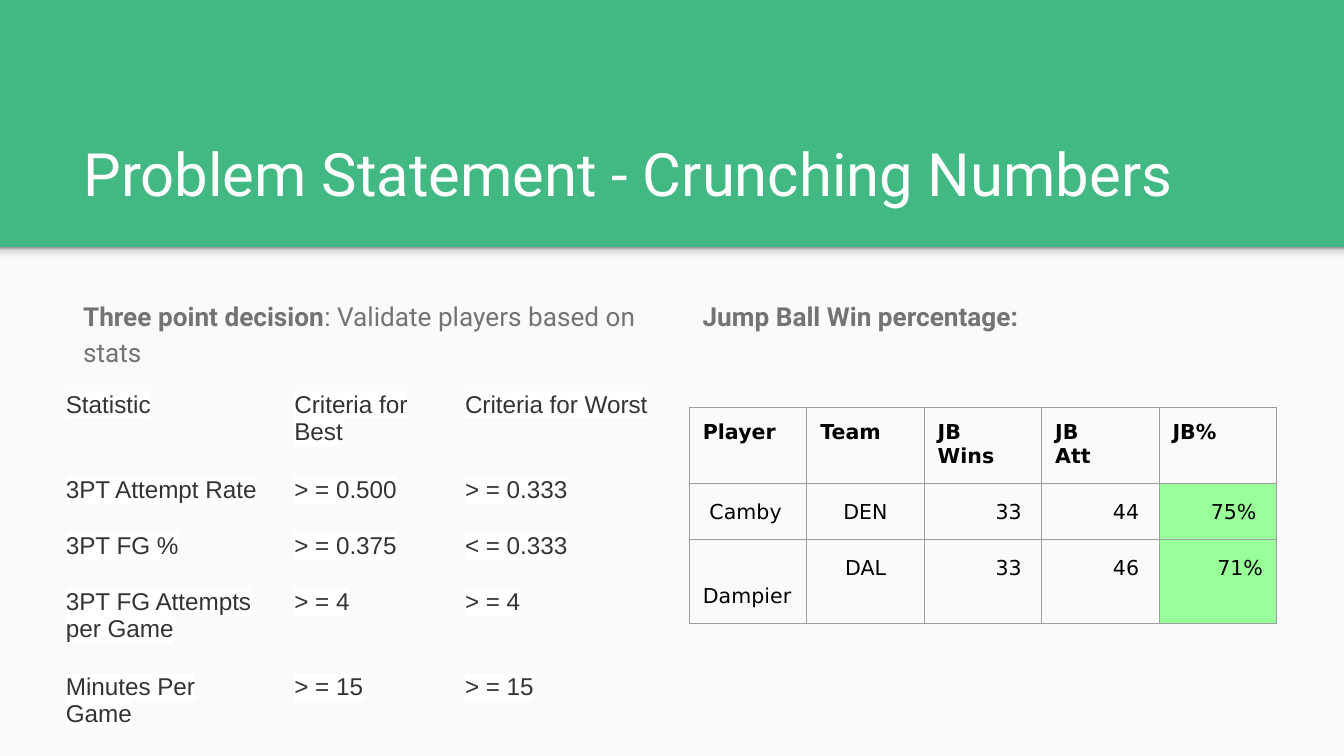
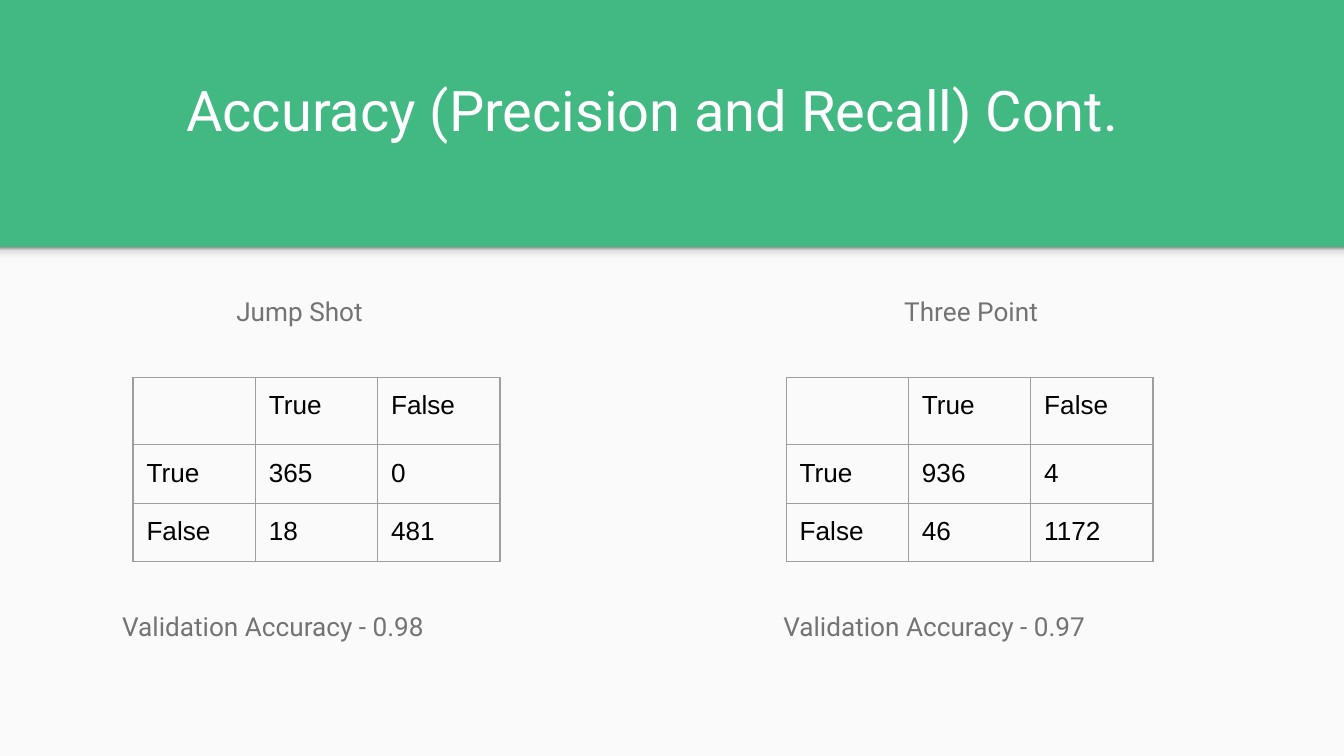
import copy

import pptx
import pptx.dml.color
import pptx.enum.shapes
import pptx.enum.text
import pptx.oxml
import pptx.oxml.ns
import pptx.util
from lxml import etree

Inches = pptx.util.Inches
Pt = pptx.util.Pt
RGBColor = pptx.dml.color.RGBColor
ALIGN = pptx.enum.text.PP_ALIGN
ANCHOR = pptx.enum.text.MSO_ANCHOR
RECTANGLE = pptx.enum.shapes.MSO_SHAPE.RECTANGLE
qn = pptx.oxml.ns.qn

GREEN = RGBColor(0x42, 0xB9, 0x83)
PANEL = RGBColor(0xFA, 0xFA, 0xFA)
WHITE = RGBColor(0xFF, 0xFF, 0xFF)
BLACK = RGBColor(0x00, 0x00, 0x00)
GREY = RGBColor(0x73, 0x73, 0x73)
DARK = RGBColor(0x33, 0x33, 0x33)
BORDER = RGBColor(0x9E, 0x9E, 0x9E)
WIN_GREEN = RGBColor(0x99, 0xFF, 0x99)
SHADOW_STOPS = [
    (0, RGBColor(0xF9, 0xF9, 0xF9)),
    (0.36, RGBColor(0xF9, 0xF9, 0xF9)),
    (0.8, RGBColor(0xDE, 0xDE, 0xDE)),
    (1, RGBColor(0x99, 0x99, 0x99)),
]

SLIDE_WIDTH = 10
SLIDE_HEIGHT = SLIDE_WIDTH * 9 / 16
PANEL_TOP = 1.84
BODY_TOP, BODY_WIDTH, BODY_HEIGHT = 2.1, 4.37, 2.96
LEFT_COLUMN, RIGHT_COLUMN = 0.52, 5.13
INSET = Inches(0.1)


def add_run(paragraph, text, size, color, font="Roboto", bold=False, highlight=None):
    run = paragraph.add_run()
    run.text = text
    run.font.size = Pt(size)
    run.font.bold = bold
    run.font.color.rgb = color
    if highlight is not None:
        mark = etree.Element(qn("a:highlight"))
        etree.SubElement(mark, qn("a:srgbClr")).set("val", str(highlight))
        run.font._element.find(qn("a:solidFill")).addnext(mark)
    run.font.name = font


def set_insets(frame):
    frame.margin_left = frame.margin_right = INSET
    frame.margin_top = frame.margin_bottom = INSET


def add_rectangle(slide, top, height):
    rectangle = slide.shapes.add_shape(
        RECTANGLE, 0, Inches(top), Inches(SLIDE_WIDTH), Inches(height))
    rectangle.shadow.inherit = False
    rectangle.line.fill.background()
    return rectangle


def add_panel(slide):
    """Draw the light content area and the soft shadow under the green band."""
    panel = add_rectangle(slide, PANEL_TOP, SLIDE_HEIGHT - PANEL_TOP)
    panel.fill.solid()
    panel.fill.fore_color.rgb = PANEL

    fill = add_rectangle(slide, PANEL_TOP, 0.12).fill
    fill.gradient()
    fill.gradient_angle = 90
    stops = fill.gradient_stops
    first_stop = stops[0]._gs
    for _ in range(len(SHADOW_STOPS) - len(stops)):
        first_stop.addnext(copy.deepcopy(first_stop))
    for stop, (position, color) in zip(fill.gradient_stops, SHADOW_STOPS):
        stop.position = position
        stop.color.rgb = color


def add_titled_slide(deck, text, left, top, size, align):
    slide = deck.slides.add_slide(deck.slide_layouts[5])
    add_panel(slide)
    title = slide.shapes.title
    title.left, title.top = Inches(left), Inches(top)
    title.width, title.height = Inches(8.99), Inches(0.84)
    frame = title.text_frame
    frame.auto_size = pptx.enum.text.MSO_AUTO_SIZE.NONE
    frame.vertical_anchor = ANCHOR.BOTTOM
    set_insets(frame)
    frame.paragraphs[0].alignment = align
    add_run(frame.paragraphs[0], text, size, WHITE)
    return slide


def add_body(slide, left):
    """Add an empty body column and return its text frame."""
    box = slide.shapes.add_textbox(
        Inches(left), Inches(BODY_TOP), Inches(BODY_WIDTH), Inches(BODY_HEIGHT))
    frame = box.text_frame
    frame.word_wrap = True
    set_insets(frame)
    return frame


def add_heading(slide, left, bold_text, plain_text=""):
    paragraph = add_body(slide, left).paragraphs[0]
    paragraph.line_spacing = 1.15
    add_run(paragraph, bold_text, 14, GREY, bold=True)
    if plain_text:
        add_run(paragraph, plain_text, 14, GREY)


def set_borders(cell, color):
    properties = cell._tc.get_or_add_tcPr()
    for side in ("lnL", "lnR", "lnT", "lnB"):
        line = etree.SubElement(properties, qn(f"a:{side}"), w=str(Pt(0.75)))
        if color is None:
            etree.SubElement(line, qn("a:noFill"))
        else:
            solid = etree.SubElement(line, qn("a:solidFill"))
            etree.SubElement(solid, qn("a:srgbClr")).set("val", str(color))


def add_grid(slide, left, top, widths, heights, rows, border=BORDER,
             bold_header=False, **text_style):
    table = slide.shapes.add_table(
        len(rows), len(widths), Inches(left), Inches(top),
        Inches(sum(widths)), Inches(sum(heights))).table
    table.first_row = table.horz_banding = False
    for column, width in zip(table.columns, widths):
        column.width = Inches(width)
    for row_index, (values, height) in enumerate(zip(rows, heights)):
        table.rows[row_index].height = Inches(height)
        for column_index, value in enumerate(values):
            cell = table.cell(row_index, column_index)
            set_insets(cell)
            set_borders(cell, border)
            cell.fill.background()
            if not value:
                continue
            for line_index, line in enumerate(value.split("\n")):
                frame = cell.text_frame
                paragraph = frame.add_paragraph() if line_index else frame.paragraphs[0]
                add_run(paragraph, line, bold=bold_header and row_index == 0, **text_style)
    return table


def add_criteria_table(slide):
    rows = [
        ("Statistic", "Criteria for Best", "Criteria for Worst"),
        ("3PT Attempt Rate", "> = 0.500", "> = 0.333"),
        ("3PT FG %", "> = 0.375", "< = 0.333"),
        ("3PT FG Attempts per Game", "> = 4", "> = 4"),
        ("Minutes Per Game", "> = 15", "> = 15"),
    ]
    add_grid(slide, 0.39, 2.81, (1.7, 1.27, 1.65), (0.55, 0.36, 0.36, 0.55, 0.36), rows,
             border=None, size=13, color=DARK, font="Arial", highlight=WHITE)


def add_jump_ball_table(slide):
    rows = [
        ("Player", "Team", "JB\nWins", "JB\nAtt", "JB%"),
        (" Camby", "DEN", "33 ", "44 ", "75% "),
        (" Dampier", "DAL", "33 ", "46 ", "71%"),
    ]
    alignments = [ALIGN.LEFT, ALIGN.CENTER, ALIGN.RIGHT, ALIGN.RIGHT, ALIGN.RIGHT]
    table = add_grid(slide, RIGHT_COLUMN, 3.03, [BODY_WIDTH / 5] * 5, [0.42] * 3, rows,
                     bold_header=True, size=11, color=BLACK, font="DejaVu Sans")
    for row in range(1, len(rows)):
        for column, alignment in enumerate(alignments):
            paragraph = table.cell(row, column).text_frame.paragraphs[0]
            paragraph.line_spacing = 1.15
            paragraph.alignment = alignment
        win_rate = table.cell(row, 4)
        win_rate.fill.solid()
        win_rate.fill.fore_color.rgb = WIN_GREEN


def add_confusion_caption(slide, left, name, name_indent, accuracy, accuracy_indent):
    """Put the model name above its matrix and the accuracy below it."""
    frame = add_body(slide, left)
    name_line, accuracy_line = frame.paragraphs[0], frame.add_paragraph()
    accuracy_line.space_before = Pt(152)
    for paragraph, text, indent in (
            (name_line, name, name_indent),
            (accuracy_line, f"Validation Accuracy - {accuracy}", accuracy_indent)):
        paragraph._p.get_or_add_pPr().set("marL", str(Inches(indent)))
        add_run(paragraph, text, 14, GREY)


def add_confusion_matrix(slide, left, row_heights, true_counts, false_counts):
    rows = [("", "True", "False"), ("True", *true_counts), ("False", *false_counts)]
    add_grid(slide, left, 2.81, [0.91] * 3, row_heights, rows,
             size=14, color=BLACK, font="Arial")


def build_problem_slide(deck):
    slide = add_titled_slide(deck, "Problem Statement - Crunching Numbers",
                             LEFT_COLUMN, 0.81, 32, ALIGN.LEFT)
    add_heading(slide, LEFT_COLUMN, "Three point decision",
                ": Validate players based on stats")
    add_criteria_table(slide)
    add_heading(slide, RIGHT_COLUMN, "Jump Ball Win percentage:")
    add_jump_ball_table(slide)


def build_accuracy_slide(deck):
    slide = add_titled_slide(deck, "Accuracy (Precision and Recall) Cont.",
                             0.36, 0.32, 30, ALIGN.CENTER)
    add_confusion_caption(slide, LEFT_COLUMN, "Jump Shot", 1.14, "0.98", 0.29)
    add_confusion_caption(slide, RIGHT_COLUMN, "Three Point", 1.5, "0.97", 0.6)
    add_confusion_matrix(slide, 0.99, (0.38, 0.37, 0.37), ("365", "0"), ("18", "481"))
    add_confusion_matrix(slide, 5.85, [0.28] * 3, ("936", "4"), ("46", "1172"))


def main():
    deck = pptx.Presentation()
    deck.slide_width, deck.slide_height = Inches(SLIDE_WIDTH), Inches(SLIDE_HEIGHT)
    background = deck.slide_master.background.fill
    background.solid()
    background.fore_color.rgb = GREEN
    build_problem_slide(deck)
    build_accuracy_slide(deck)
    deck.save("out.pptx")


if __name__ == "__main__":
    main()
